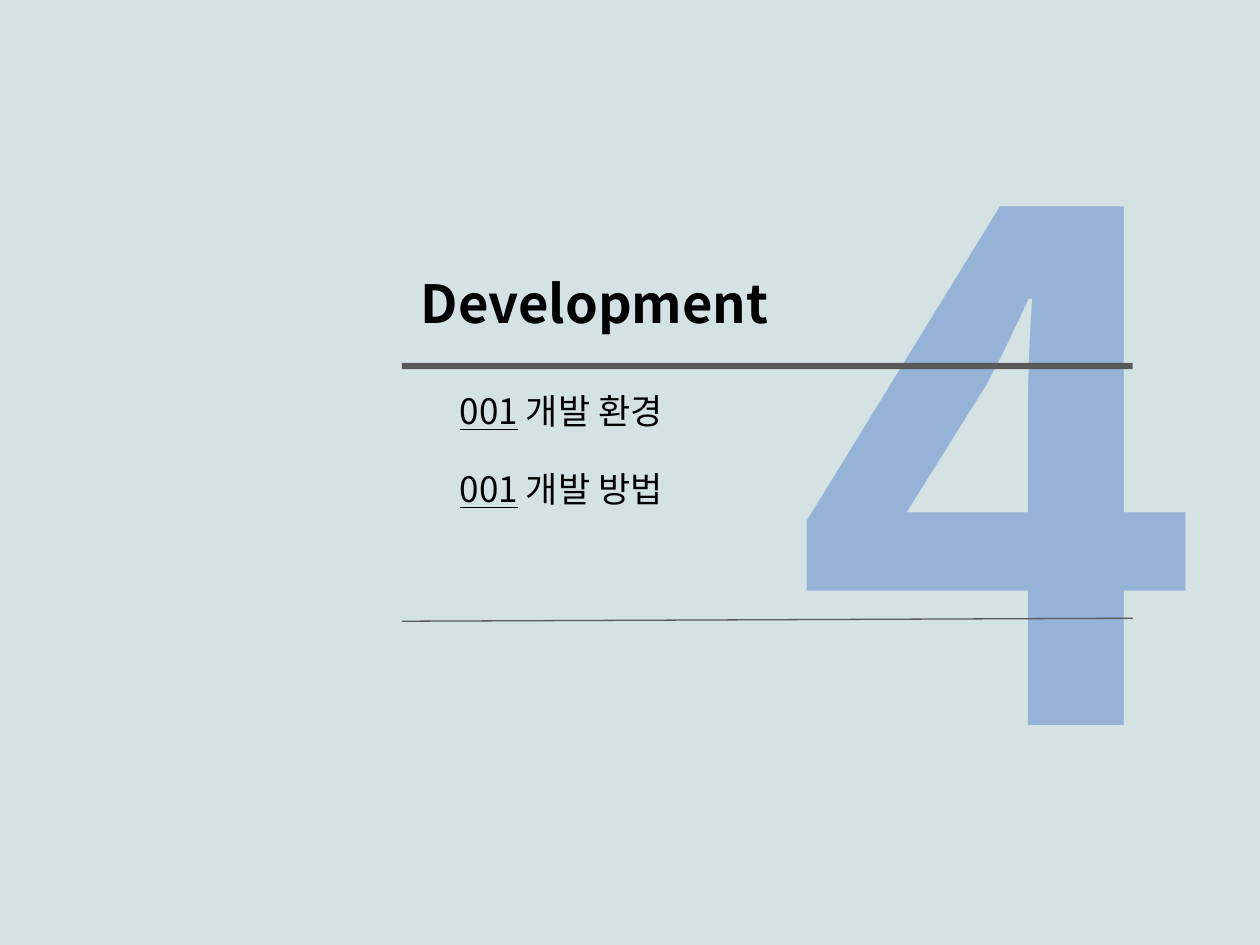
"""Build the section slide for Development."""
import dataclasses

import pptx
import pptx.dml.color
import pptx.enum.shapes
import pptx.enum.text
import pptx.oxml
import pptx.oxml.ns
import pptx.util

Pt = pptx.util.Pt
FONT = "Noto Sans CJK KR"
HUES = {"back": "D5E2E3", "digit": "95B3D7", "rule": "595959", "text": "000000"}
LEFT, RIGHT = 229.7, 647.3


@dataclasses.dataclass
class Run:
    text: str
    size: float
    hue: str = "text"
    bold: bool = False
    under: bool = False


@dataclasses.dataclass
class Label:
    left: float
    top: float
    width: float
    height: float
    runs: list[Run]


def color(name: str) -> pptx.dml.color.RGBColor:
    """Return the named colour."""
    return pptx.dml.color.RGBColor.from_string(HUES[name])


def assign(item, values: dict) -> None:
    """Set every attribute in values on item."""
    for key, value in values.items():
        setattr(item, key, value)


def put_label(slide, label: Label) -> None:
    """Draw one line of text made of runs."""
    area = map(Pt, (label.left, label.top, label.width, label.height))
    frame = slide.shapes.add_textbox(*area).text_frame
    assign(frame, {
        "word_wrap": False,
        "auto_size": pptx.enum.text.MSO_AUTO_SIZE.SHAPE_TO_FIT_TEXT,
    })
    for part in label.runs:
        run = frame.paragraphs[0].add_run()
        run.text = part.text
        assign(run.font, {
            "name": FONT, "size": Pt(part.size),
            "bold": part.bold, "underline": part.under,
        })
        run.font.color.rgb = color(part.hue)
        east = pptx.oxml.parse_xml(
            f'<a:ea {pptx.oxml.ns.nsdecls("a")} typeface="{FONT}"/>')
        run.font._element.find(pptx.oxml.ns.qn("a:latin")).addnext(east)


def put_bar(slide, top: float, height: float) -> None:
    """Draw the thick rule under the title."""
    kind = pptx.enum.shapes.MSO_SHAPE.RECTANGLE
    bar = slide.shapes.add_shape(
        kind, Pt(LEFT), Pt(top), Pt(RIGHT - LEFT), Pt(height))
    bar.shadow.inherit = False
    bar.fill.solid()
    bar.fill.fore_color.rgb = color("rule")
    bar.line.fill.background()


def put_line(slide, start: float, end: float) -> None:
    """Draw the thin closing rule."""
    kind = pptx.enum.shapes.MSO_CONNECTOR.STRAIGHT
    line = slide.shapes.add_connector(
        kind, Pt(LEFT), Pt(start), Pt(RIGHT), Pt(end))
    line.line.width = Pt(0.75)
    line.line.color.rgb = color("rule")
    line._element.spPr.append(pptx.oxml.parse_xml(
        f'<a:effectLst {pptx.oxml.ns.nsdecls("a")}/>'))


def main() -> None:
    """Compose and save the slide."""
    deck = pptx.Presentation()
    assign(deck, {"slide_width": Pt(720), "slide_height": Pt(540)})
    slide = deck.slides.add_slide(deck.slide_layouts[6])
    slide.background.fill.solid()
    slide.background.fill.fore_color.rgb = color("back")

    put_label(slide, Label(445.7, 10.8, 248.4, 491.8,
                           [Run("4", 400, "digit", bold=True)]))
    put_bar(slide, 207.4, 3.6)
    put_label(slide, Label(233.3, 151.2, 223.9, 43.9,
                           [Run("Development", 30, bold=True)]))
    put_line(slide, 355, 353.3)
    for row, topic in enumerate(("개발 환경", "개발 방법")):
        runs = [Run("001", 20, under=True), Run(f" {topic}", 20)]
        put_label(slide, Label(255.6, 218.9 + 44.6 * row, 146.9, 31.7, runs))
    deck.save("out.pptx")


if __name__ == "__main__":
    main()
